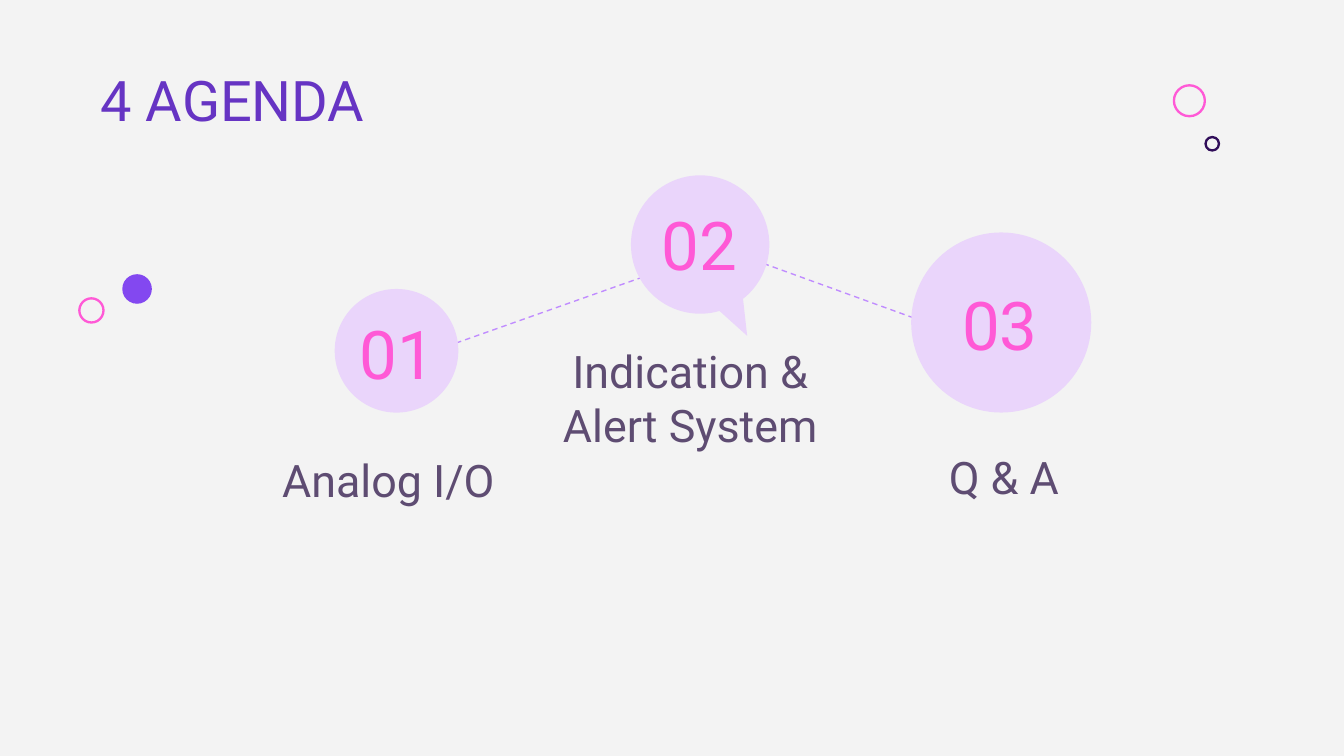
from lxml import etree
from pptx import Presentation
from pptx.dml.color import RGBColor
from pptx.enum.dml import MSO_LINE
from pptx.enum.shapes import MSO_CONNECTOR, MSO_SHAPE
from pptx.enum.text import MSO_ANCHOR, PP_ALIGN
from pptx.oxml.ns import qn
from pptx.util import Inches, Pt

OVAL = MSO_SHAPE.OVAL
BUBBLE = MSO_SHAPE.OVAL_CALLOUT
STRAIGHT = MSO_CONNECTOR.STRAIGHT
DASH = MSO_LINE.DASH
TOP, MIDDLE, BOTTOM = MSO_ANCHOR.TOP, MSO_ANCHOR.MIDDLE, MSO_ANCHOR.BOTTOM
LEFT, CENTER = PP_ALIGN.LEFT, PP_ALIGN.CENTER

FONT = "Roboto"
COLORS = {
    "background": "F3F3F3",
    "title": "6634C3",
    "label": "5E4C72",
    "pink": "FF59D6",
    "navy": "300D59",
    "violet": "8348F0",
    "lilac": "EAD5FB",
    "link": "C08CFF",
}


def color(name):
    return RGBColor.from_string(COLORS[name])


def add_text(page, box, text, size, fill, align=LEFT, anchor=TOP):
    frame = page.shapes.add_textbox(*map(Inches, box)).text_frame
    frame.word_wrap = True
    frame.vertical_anchor = anchor
    frame.margin_left = frame.margin_right = Inches(0.1)
    frame.margin_top = frame.margin_bottom = Inches(0.1)
    para = frame.paragraphs[0]
    para.alignment = align
    span = para.add_run()
    span.text = text
    span.font.name = FONT
    span.font.size = Pt(size)
    span.font.color.rgb = color(fill)


def add_circle(page, center, diameter, fill=None, outline=None, kind=OVAL):
    x, y = center
    shape = page.shapes.add_shape(
        kind, Inches(x - diameter / 2), Inches(y - diameter / 2),
        Inches(diameter), Inches(diameter))
    shape.shadow.inherit = False
    if fill:
        shape.fill.solid()
        shape.fill.fore_color.rgb = color(fill)
    else:
        shape.fill.background()
    if outline:
        shape.line.color.rgb = color(outline)
        shape.line.width = Pt(1.25)
    else:
        shape.line.fill.background()
    return shape


def add_link(page, start, end):
    link = page.shapes.add_connector(STRAIGHT, *map(Inches, start + end))
    link.line.color.rgb = color("link")
    link.line.width = Pt(0.75)
    link.line.dash_style = DASH
    etree.SubElement(link._element.spPr, qn("a:effectLst"))


def add_ornaments(page):
    add_circle(page, (8.85, 0.75), 0.23, outline="pink")
    add_circle(page, (9.02, 1.07), 0.1, outline="navy")
    add_circle(page, (1.02, 2.15), 0.22, fill="violet")
    add_circle(page, (0.68, 2.31), 0.18, outline="pink")


def add_step(page, center, diameter, number, number_box, label, label_box,
             tail=None):
    circle = add_circle(page, center, diameter, fill="lilac",
                        kind=BUBBLE if tail else OVAL)
    if tail:
        circle.adjustments[0], circle.adjustments[1] = tail
    add_text(page, number_box, number, 36, "pink",
             align=CENTER, anchor=MIDDLE)
    add_text(page, label_box, label, 24, "label",
             align=CENTER, anchor=BOTTOM)


def add_agenda(page):
    add_link(page, (5.21, 1.79), (7.39, 2.58))
    add_link(page, (2.92, 2.72), (5.24, 1.9))
    add_step(page, (2.95, 2.61), 0.92,
             "01", (2.56, 2.31, 0.79, 0.63),
             "Analog I/O", (1.64, 2.94, 2.5, 0.93))
    add_step(page, (5.21, 1.82), 1.03,
             "02", (4.48, 1.5, 1.45, 0.63),
             "Indication & Alert System", (3.93, 2.75, 2.41, 0.71),
             tail=(0.34, 0.66))
    add_step(page, (7.45, 2.4), 1.34,
             "03", (6.78, 2.09, 1.32, 0.63),
             "Q & A", (5.92, 2.89, 3.1, 0.96))


def main():
    deck = Presentation()
    deck.slide_width = Inches(10)
    deck.slide_height = deck.slide_width * 9 // 16
    page = deck.slides.add_slide(deck.slide_layouts[6])
    page.background.fill.solid()
    page.background.fill.fore_color.rgb = color("background")
    add_ornaments(page)
    add_text(page, (0.65, 0.39, 7.36, 0.71), "4 AGENDA", 30, "title")
    add_agenda(page)
    deck.save("out.pptx")


if __name__ == "__main__":
    main()
